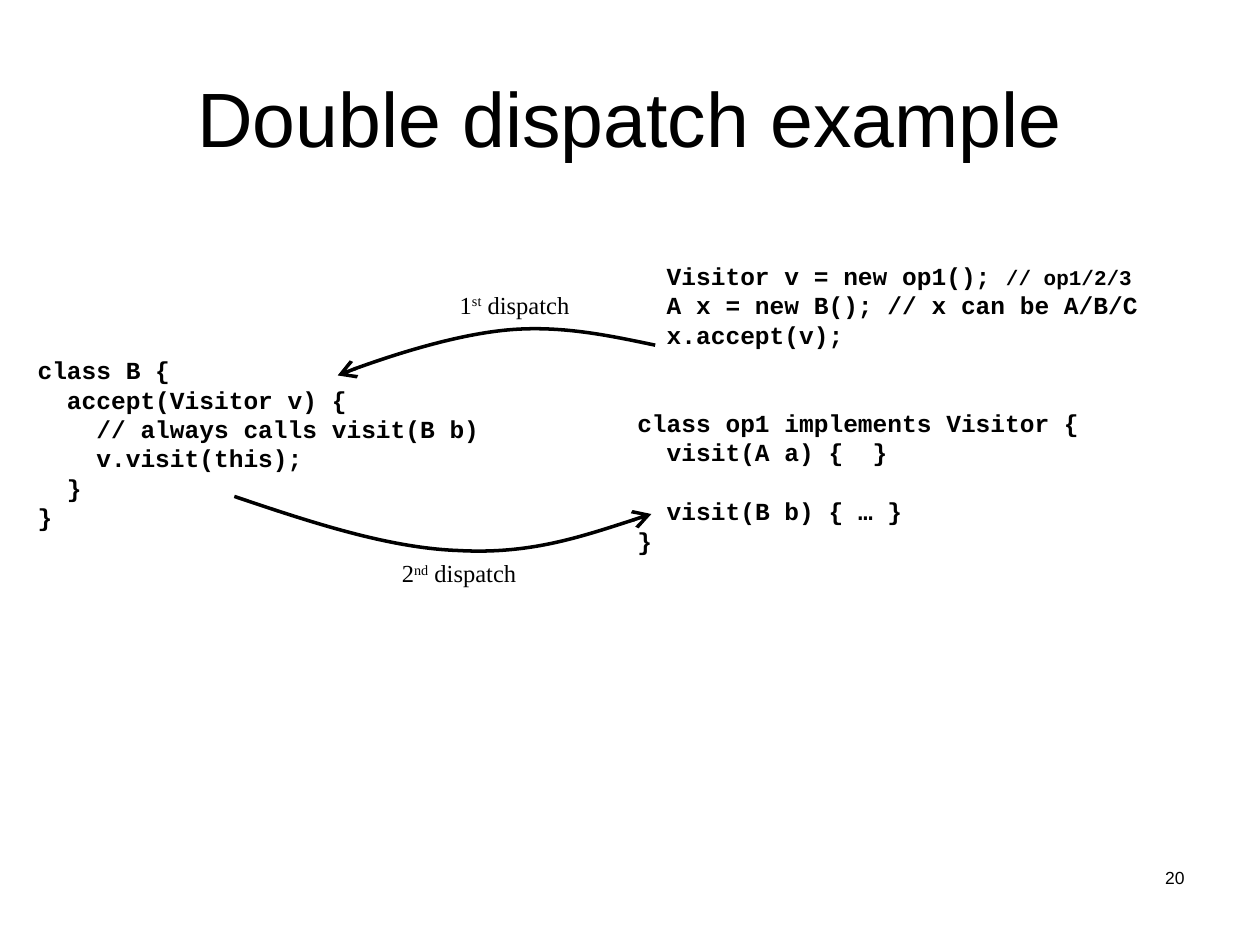
from lxml.etree import SubElement
from pptx import Presentation
from pptx.dml.color import RGBColor
from pptx.enum.text import MSO_ANCHOR, PP_ALIGN
from pptx.oxml.ns import qn
from pptx.util import Inches, Pt


def color(value):
    return RGBColor.from_string(value)


class SlideBuilder:
    INK = "000000"
    LINE_HEIGHT = 16.8

    def __init__(self, prs):
        self.slide = prs.slides.add_slide(prs.slide_layouts[5])

    def style(self, p, size, name, bold=False):
        p.font.size = Pt(size)
        p.font.name = name
        p.font.bold = bold
        p.font.color.rgb = color(self.INK)

    def place(self, sp, box):
        sp.left, sp.top, sp.width, sp.height = (Inches(v) for v in box)

    def title(self, text, box):
        sp = self.slide.shapes.title
        self.place(sp, box)
        tf = sp.text_frame
        tf.text = text
        tf.vertical_anchor = MSO_ANCHOR.MIDDLE
        p = tf.paragraphs[0]
        p.alignment = PP_ALIGN.CENTER
        self.style(p, 44, "Arial")

    def text_box(self, box, wrap=True):
        sp = self.slide.shapes.add_textbox(*(Inches(v) for v in box))
        sp.text_frame.word_wrap = wrap
        return sp.text_frame

    def page_number(self, text, box):
        p = self.text_box(box).paragraphs[0]
        p.text = text
        p.alignment = PP_ALIGN.RIGHT
        self.style(p, 10, "Arial")

    def code(self, blocks, box):
        tf = self.text_box(box)
        for i, lines in enumerate(blocks):
            p = tf.add_paragraph() if i else tf.paragraphs[0]
            p.text = "\v".join(lines)
            p.line_spacing = Pt(self.LINE_HEIGHT)
            p.space_before = Pt(2 * self.LINE_HEIGHT if i else 0)
            self.style(p, 14, "Courier New", True)
        return tf

    def dispatch_label(self, number, suffix, box):
        p = self.text_box(box, wrap=False).paragraphs[0]
        p.line_spacing = Pt(self.LINE_HEIGHT)
        self.style(p, 14, "Times New Roman")
        for text in (number, suffix, " dispatch"):
            r = p.add_run()
            r.text = text
            if text == suffix:
                r.font._element.set("baseline", "30000")

    def curved_arrow(self, *points):
        start, *controls = [(Inches(x), Inches(y)) for x, y in points]
        builder = self.slide.shapes.build_freeform(*start)
        builder.add_line_segments(controls, close=False)
        sp = builder.convert_to_shape()
        sp.shadow.inherit = False
        sp.fill.background()
        sp.line.color.rgb = color(self.INK)
        sp.line.width = Pt(2)
        SubElement(sp.line._get_or_add_ln(), qn("a:tailEnd"),
                   type="arrow", w="lg", len="lg")
        segments = list(sp._element.iter(qn("a:lnTo")))
        outline = segments[0].getparent()
        for i in range(0, len(segments), 3):
            curve = SubElement(outline, qn("a:cubicBezTo"))
            for segment in segments[i:i + 3]:
                curve.append(segment[0])
                outline.remove(segment)


def main():
    prs = Presentation()
    prs.slide_width, prs.slide_height = Inches(10), Inches(7.5)
    s = SlideBuilder(prs)

    s.title("Double dispatch example", (0.5, 0.3, 9, 1.25))
    s.page_number("20", (7.17, 6.83, 2.33, 0.5))

    tf = s.code([
        ["  Visitor v = new op1(); ",
         "  A x = new B(); // x can be A/B/C",
         "  x.accept(v);"],
        ["class op1 implements Visitor {", "  visit(A a) {  }"],
    ], (4.96, 2.02, 4.77, 1.74))
    p = tf.paragraphs[0]
    r = p.add_run()
    r.text = "// op1/2/3"
    r.font.size = Pt(12)
    p.runs[0]._r.addnext(r._r)

    s.code([["  visit(B b) { … }", "}"]], (4.96, 3.89, 4.09, 0.57))
    s.code([["class B {",
             "  accept(Visitor v) {",
             "    // always calls visit(B b)",
             "    v.visit(this);",
             "  }",
             "}"]], (0.2, 2.77, 3.74, 1.5))

    s.curved_arrow((5.2, 2.74), (4.82, 2.66), (4.44, 2.58), (4.02, 2.62),
                   (3.6, 2.66), (2.89, 2.89), (2.68, 2.98))
    s.dispatch_label("1", "st", (3.55, 2.25, 1.07, 0.34))
    s.curved_arrow((1.86, 3.94), (2.48, 4.15), (3.09, 4.35), (3.64, 4.37),
                   (4.2, 4.4), (4.68, 4.24), (5.17, 4.08))
    s.dispatch_label("2", "nd", (3.09, 4.38, 1.11, 0.34))

    prs.save("out.pptx")


if __name__ == "__main__":
    main()
